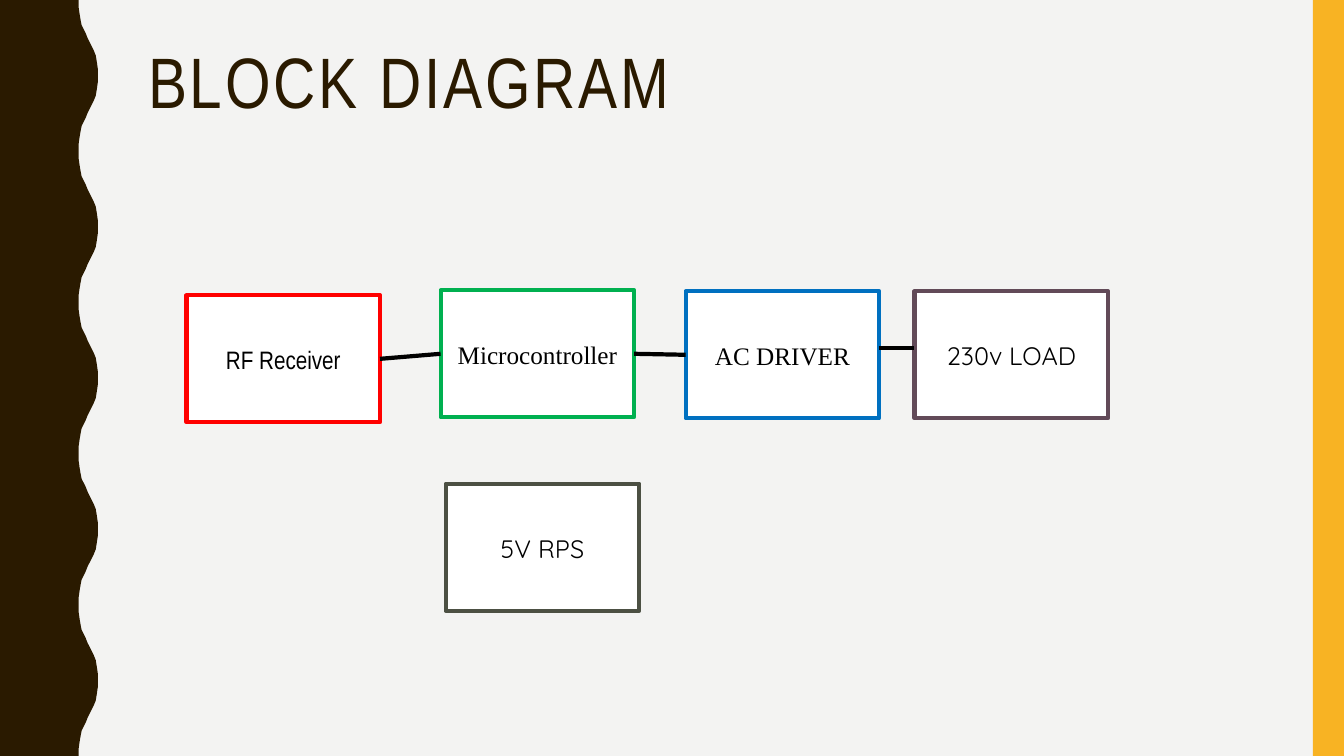
from lxml.etree import SubElement
from pptx import Presentation
from pptx.dml.color import RGBColor
from pptx.enum.shapes import MSO_CONNECTOR, MSO_SHAPE
from pptx.enum.text import MSO_ANCHOR, PP_ALIGN
from pptx.oxml.ns import qn
from pptx.util import Inches, Pt

COLORS = {
    "background": "F3F3F2", "brown": "2A1A00", "gold": "F8B323",
    "white": "FFFFFF", "black": "000000", "red": "FF0000",
    "green": "00B050", "blue": "0070C0", "plum": "624A58", "olive": "4C5043",
}
BLOCK_WIDTH, BLOCK_HEIGHT = 1.92, 1.26
BLOCKS = [
    ("RF Receiver", 0, 0.05, "red", "Arial Narrow"),
    ("Microcontroller", 2.52, 0, "green", "Times New Roman"),
    ("AC DRIVER", 4.95, 0.01, "blue", "Times New Roman"),
    ("230v LOAD", 7.22, 0.01, "plum", "Quicksand"),
    ("5V RPS", 2.57, 1.92, "olive", "Quicksand"),
]
HALF_WAVE = [
    (0.78, 0), (0.78, 0.07), (0.79, 0.14), (0.8, 0.2), (0.81, 0.25),
    (0.83, 0.29), (0.85, 0.33), (0.87, 0.38), (0.89, 0.42), (0.91, 0.46),
    (0.93, 0.5), (0.95, 0.55), (0.96, 0.61), (0.97, 0.68), (0.97, 0.75),
]
WAVE_PERIOD, WAVE_COUNT = 1.5, 5


def color(name):
    """Return the named colour."""
    return RGBColor.from_string(COLORS[name])


def paint(shape, fill, line=None):
    """Give a shape its fill and optional 3 pt outline, without a shadow."""
    shape.shadow.inherit = False
    shape.fill.solid()
    shape.fill.fore_color.rgb = color(fill)
    if line:
        shape.line.color.rgb = color(line)
        shape.line.width = Pt(3)
    else:
        shape.line.fill.background()


def format_run(run, font_name, size, color_name):
    """Set the font, size and colour of a run."""
    run.font.name = font_name
    run.font.size = Pt(size)
    run.font.color.rgb = color(color_name)


def add_wave_edge(slide, left, top):
    """Draw the wavy band down the left side."""
    period = HALF_WAVE + [(x, WAVE_PERIOD - y) for x, y in HALF_WAVE[-2::-1]]
    points = [(x, y + WAVE_PERIOD * index)
              for index in range(WAVE_COUNT) for x, y in period]
    points.append((0, WAVE_PERIOD * WAVE_COUNT))
    builder = slide.shapes.build_freeform(Inches(left), Inches(top))
    builder.add_line_segments(
        [(Inches(left + x), Inches(top + y)) for x, y in points], close=True)
    paint(builder.convert_to_shape(), "brown")


def add_gold_edge(slide, left, top, width, height):
    """Draw the gold strip down the right side."""
    strip = slide.shapes.add_shape(
        MSO_SHAPE.RECTANGLE, Inches(left), Inches(top), Inches(width), Inches(height))
    paint(strip, "gold")


def add_title(slide, left, top, width, height):
    """Place the slide title."""
    title = slide.shapes.add_textbox(
        Inches(left), Inches(top), Inches(width), Inches(height))
    title.text_frame.word_wrap = True
    title.text_frame.text = "BLOCK DIAGRAM"
    paragraph = title.text_frame.paragraphs[0]
    paragraph.line_spacing = 0.9
    run = paragraph.runs[0]
    format_run(run, "Arial Narrow", 51, "brown")
    run.font._element.set("spc", "200")


def add_block(slide, left, top, label, line, font_name):
    """Add one labelled block and return it."""
    block = slide.shapes.add_shape(
        MSO_SHAPE.RECTANGLE, Inches(left), Inches(top),
        Inches(BLOCK_WIDTH), Inches(BLOCK_HEIGHT))
    paint(block, "white", line)
    block.text_frame.word_wrap = True
    block.text_frame.vertical_anchor = MSO_ANCHOR.MIDDLE
    block.text_frame.text = label
    paragraph = block.text_frame.paragraphs[0]
    paragraph.alignment = PP_ALIGN.CENTER
    paragraph.line_spacing = 1.07
    paragraph.space_after = Pt(8)
    format_run(paragraph.runs[0], font_name, 18, "black")
    return block


def add_link(slide, start_x, end_x, y):
    """Draw a level black line and return it."""
    link = slide.shapes.add_connector(
        MSO_CONNECTOR.STRAIGHT, start_x, y, end_x, y)
    link.line.color.rgb = color("black")
    link.line.width = Pt(3)
    SubElement(link._element.spPr, qn("a:effectLst"))
    return link


def add_diagram(slide, left, top):
    """Place the blocks and the lines between those in the top row."""
    blocks = [add_block(slide, left + x, top + y, label, line, font_name)
              for label, x, y, line, font_name in BLOCKS]
    receiver, controller, driver, load = blocks[:4]
    for start, end in ((receiver, controller), (controller, driver)):
        link = add_link(slide, start.left + start.width, end.left, start.top)
        link.begin_connect(start, 3)
        link.end_connect(end, 1)
    add_link(slide, driver.left + driver.width, load.left, Inches(top + 0.57))


def main():
    """Build and save the presentation."""
    presentation = Presentation()
    presentation.slide_width = Inches(13.33)
    presentation.slide_height = Inches(7.5)
    slide = presentation.slides.add_slide(presentation.slide_layouts[6])
    slide.background.fill.solid()
    slide.background.fill.fore_color.rgb = color("background")
    add_wave_edge(slide, 0, 0)
    add_gold_edge(slide, 13.02, 0, 0.31, 7.5)
    add_title(slide, 1.37, 0.42, 11.13, 1.63)
    add_diagram(slide, 1.85, 2.88)
    presentation.save("out.pptx")


if __name__ == "__main__":
    main()
